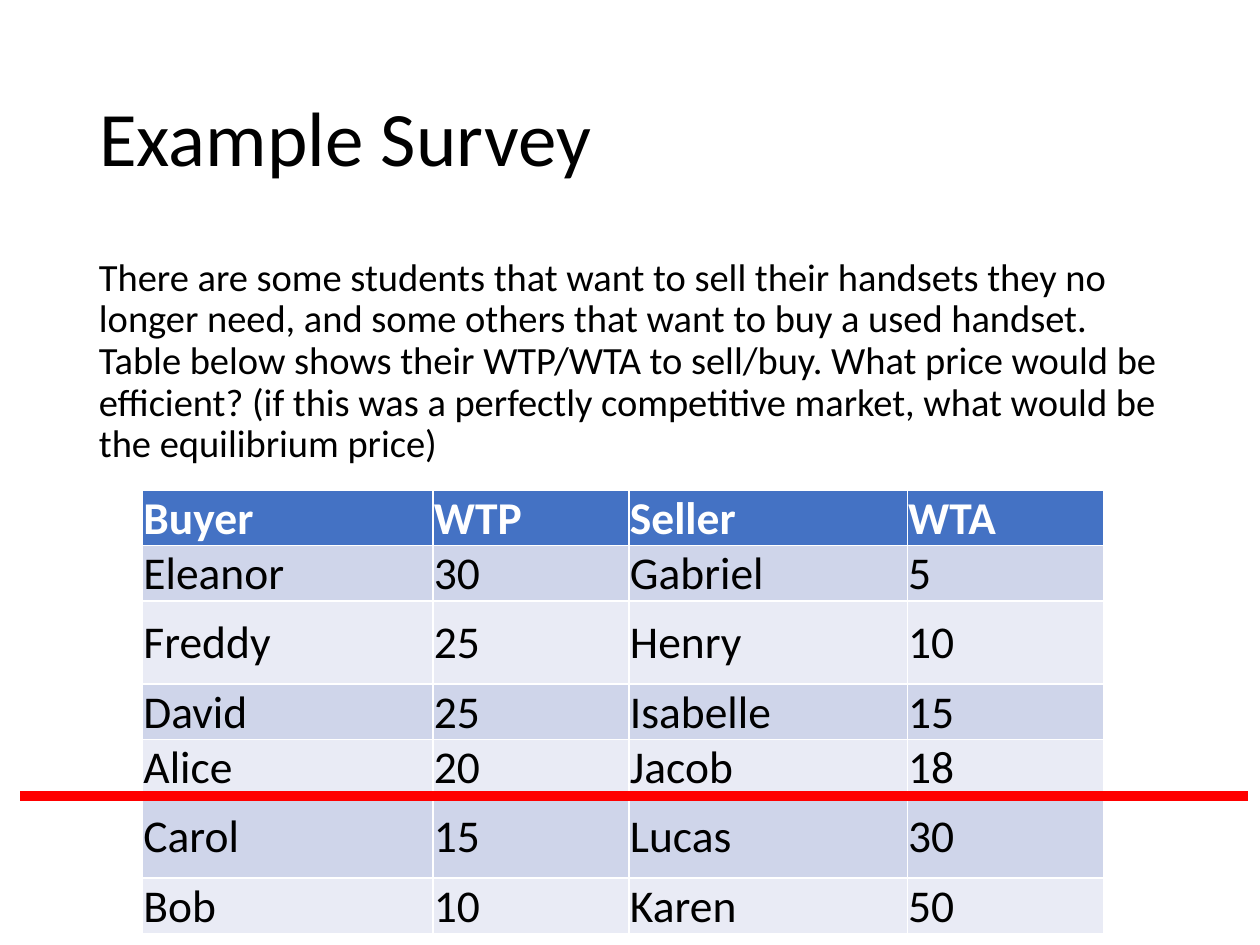
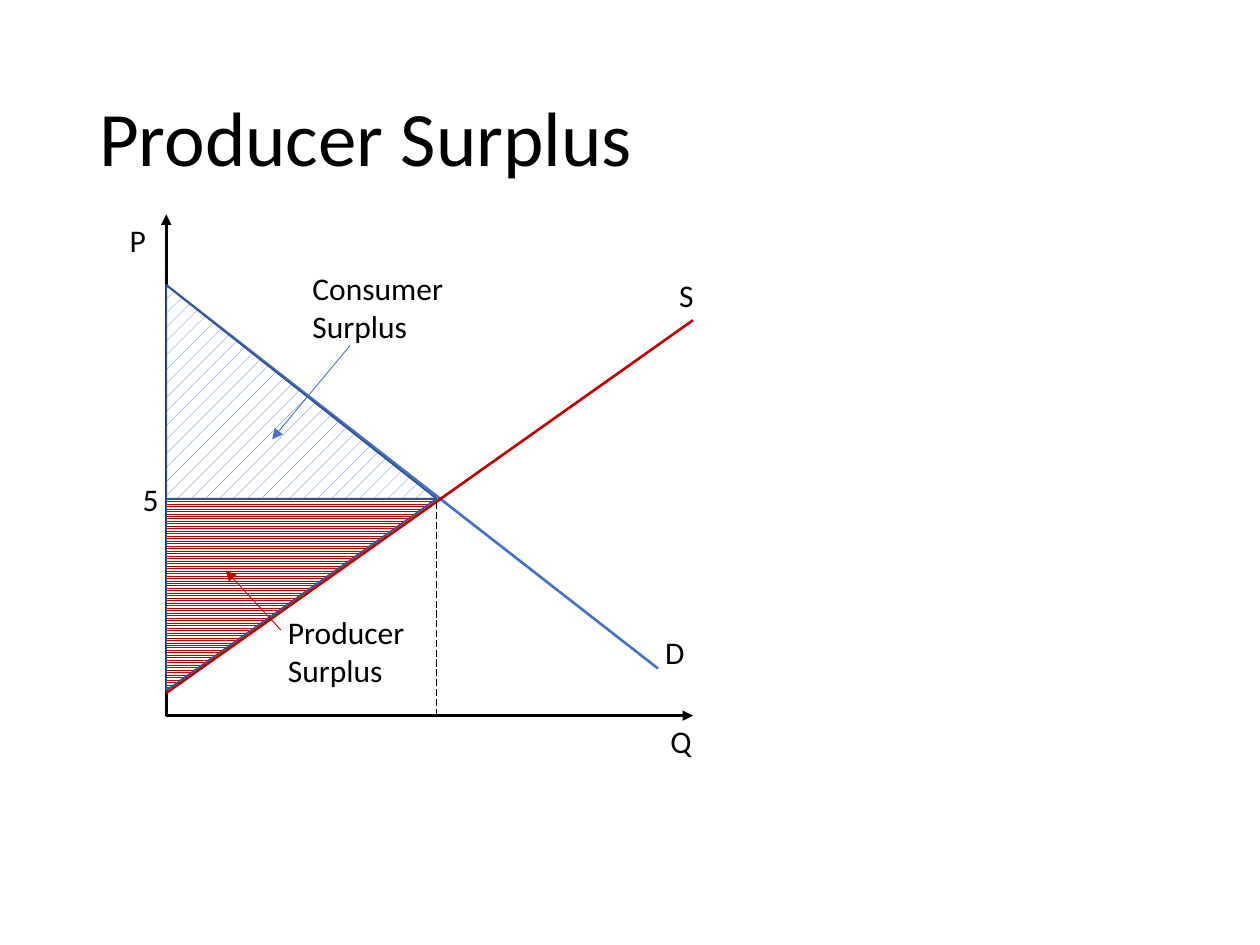
"""Build two slides on willingness to pay and on producer surplus."""
import pptx
import pptx.dml.color
import pptx.enum.dml
import pptx.enum.shapes
import pptx.enum.text
import pptx.oxml.ns
import pptx.oxml.xmlchemy
import pptx.util

Pt = pptx.util.Pt
PATTERN = pptx.enum.dml.MSO_PATTERN
BLACK, WHITE, RED = "000000", "FFFFFF", "FF0000"
DEMAND, SUPPLY, EDGE = "4472C4", "C00000", "325491"
BANDS = ["E9EBF5", "CFD5EA"]


def rgb(value):
    return pptx.dml.color.RGBColor.from_string(value)


class Deck:
    font = "Calibri"

    def __init__(self):
        self.prs = pptx.Presentation()
        self.prs.slide_width, self.prs.slide_height = Pt(720), Pt(540)
        self.slide = None

    def style(self, frame, size, color=BLACK, bold=False, spacing=1.0):
        for paragraph in frame.paragraphs:
            paragraph.alignment = pptx.enum.text.PP_ALIGN.LEFT
            paragraph.line_spacing = spacing
            for run in paragraph.runs:
                run.font.name, run.font.size, run.font.bold = self.font, Pt(size), bold
                run.font.color.rgb = rgb(color)

    def new_slide(self, heading):
        self.slide = self.prs.slides.add_slide(self.prs.slide_layouts[5])
        title = self.slide.shapes.title
        title.left, title.top, title.width, title.height = Pt(49.5), Pt(29), Pt(621), Pt(104)
        frame = title.text_frame
        frame.text = heading
        frame.auto_size = pptx.enum.text.MSO_AUTO_SIZE.NONE
        frame.vertical_anchor = pptx.enum.text.MSO_ANCHOR.MIDDLE
        self.style(frame, 44, spacing=0.9)

    def text(self, content, x, y, width, height=29, size=18, wrap=False, spacing=1.0):
        frame = self.slide.shapes.add_textbox(Pt(x), Pt(y), Pt(width), Pt(height)).text_frame
        frame.word_wrap = wrap
        frame.text = content
        self.style(frame, size, spacing=spacing)

    def line(self, start, end, color, width, arrow=False, dashed=False):
        connector = self.slide.shapes.add_connector(
            pptx.enum.shapes.MSO_CONNECTOR.STRAIGHT, *map(Pt, start + end))
        connector.line.color.rgb = rgb(color)
        connector.line.width = Pt(width)
        if dashed:
            connector.line.dash_style = pptx.enum.dml.MSO_LINE.LONG_DASH
        properties = connector._element.spPr
        if arrow:
            tail = pptx.oxml.xmlchemy.OxmlElement("a:tailEnd")
            tail.set("type", "triangle")
            properties.find(pptx.oxml.ns.qn("a:ln")).append(tail)
        properties.append(pptx.oxml.xmlchemy.OxmlElement("a:effectLst"))

    def triangle(self, x, y, width, height, pattern, color, quarter_turn=False):
        if quarter_turn:
            shift = (width - height) / 2
            x, y, width, height = x + shift, y - shift, height, width
        area = self.slide.shapes.add_shape(
            pptx.enum.shapes.MSO_SHAPE.RIGHT_TRIANGLE, Pt(x), Pt(y), Pt(width), Pt(height))
        area.rotation = 90 if quarter_turn else 0
        area.shadow.inherit = False
        area.fill.patterned()
        area.fill.pattern = pattern
        area.fill.fore_color.rgb = rgb(color)
        area.fill.back_color.rgb = rgb(WHITE)
        area.line.color.rgb = rgb(EDGE)
        area.line.width = Pt(1)

    def table(self, rows, x, y, widths, heights):
        grid = self.slide.shapes.add_table(
            len(rows), len(widths), Pt(x), Pt(y), Pt(sum(widths)), Pt(sum(heights))).table
        for column, width in zip(grid.columns, widths):
            column.width = Pt(width)
        for r, (row, height) in enumerate(zip(rows, heights)):
            grid.rows[r].height = Pt(height)
            for c, value in enumerate(row):
                cell = grid.cell(r, c)
                cell.text_frame.text = value
                cell.vertical_anchor = pptx.enum.text.MSO_ANCHOR.MIDDLE
                cell.margin_left = cell.margin_right = cell.margin_top = Pt(0.5)
                cell.margin_bottom = Pt(0)
                cell.fill.solid()
                cell.fill.fore_color.rgb = rgb(BANDS[r % 2] if r else DEMAND)
                self.style(cell.text_frame, 26, BLACK if r else WHITE, bold=r == 0)


def poll_slide(deck):
    deck.new_slide("Example Survey")
    deck.text("There are some students that want to sell their handsets they no longer need, "
              "and some others that want to buy a used handset. Table below shows their WTP/WTA "
              "to sell/buy. What price would be efficient? (if this was a perfectly competitive "
              "market, what would be the equilibrium price)",
              49.5, 144, 621, 130, size=22, wrap=True, spacing=0.9)
    offers = [
        ("Buyer", "WTP", "Seller", "WTA"),
        ("Eleanor", "30", "Gabriel", "5"),
        ("Freddy", "25", "Henry", "10"),
        ("David", "25", "Isabelle", "15"),
        ("Alice", "20", "Jacob", "18"),
        ("Carol", "15", "Lucas", "30"),
        ("Bob", "10", "Karen", "50"),
    ]
    deck.table(offers, 81.5, 280, [166, 112, 159, 112], [24, 24, 47.5, 24, 24, 47.5, 24])
    deck.line((11.5, 455), (713, 455), RED, 6)


def surplus_slide(deck):
    deck.new_slide("Producer Surplus")
    axis_x, axis_y, axis_end = 95, 409, 396
    quantity, price = 249.5, 285
    demand_top, supply_bottom = 163, 396

    deck.line((axis_x, axis_y), (axis_x, 122.5), BLACK, 1.5, arrow=True)
    deck.line((axis_x, axis_y), (axis_end, axis_y), BLACK, 1.5, arrow=True)
    deck.line((axis_x, demand_top), (376, 382), DEMAND, 1.5)
    deck.line((axis_x, supply_bottom), (axis_end, 183), SUPPLY, 1.5)
    deck.line((quantity, price), (axis_x, price), BLACK, 0.5, dashed=True)
    deck.line((quantity, axis_y), (quantity, price), BLACK, 0.5, dashed=True)
    for label, x, y in [("P", 67, 122.5), ("Q", 376, 409), ("D", 373, 358),
                        ("S", 381, 154), ("5", 74.5, 271)]:
        deck.text(label, x, y, 25)

    base = quantity - axis_x
    deck.triangle(axis_x, price, base, supply_bottom - price - 1.5,
                  PATTERN.LIGHT_HORIZONTAL, SUPPLY, quarter_turn=True)
    deck.text("Producer\nSurplus", 157.5, 347, 86, 51)
    deck.line((160.5, 360), (129, 326), SUPPLY, 0.5, arrow=True)
    deck.triangle(axis_x, demand_top, base, price - demand_top, PATTERN.PERCENT_10, DEMAND)
    deck.text("Consumer\nSurplus", 171.5, 150, 94, 51)
    deck.line((200, 197.5), (155.5, 251), DEMAND, 0.5, arrow=True)


def main():
    deck = Deck()
    poll_slide(deck)
    surplus_slide(deck)
    deck.prs.save("out.pptx")


if __name__ == "__main__":
    main()
